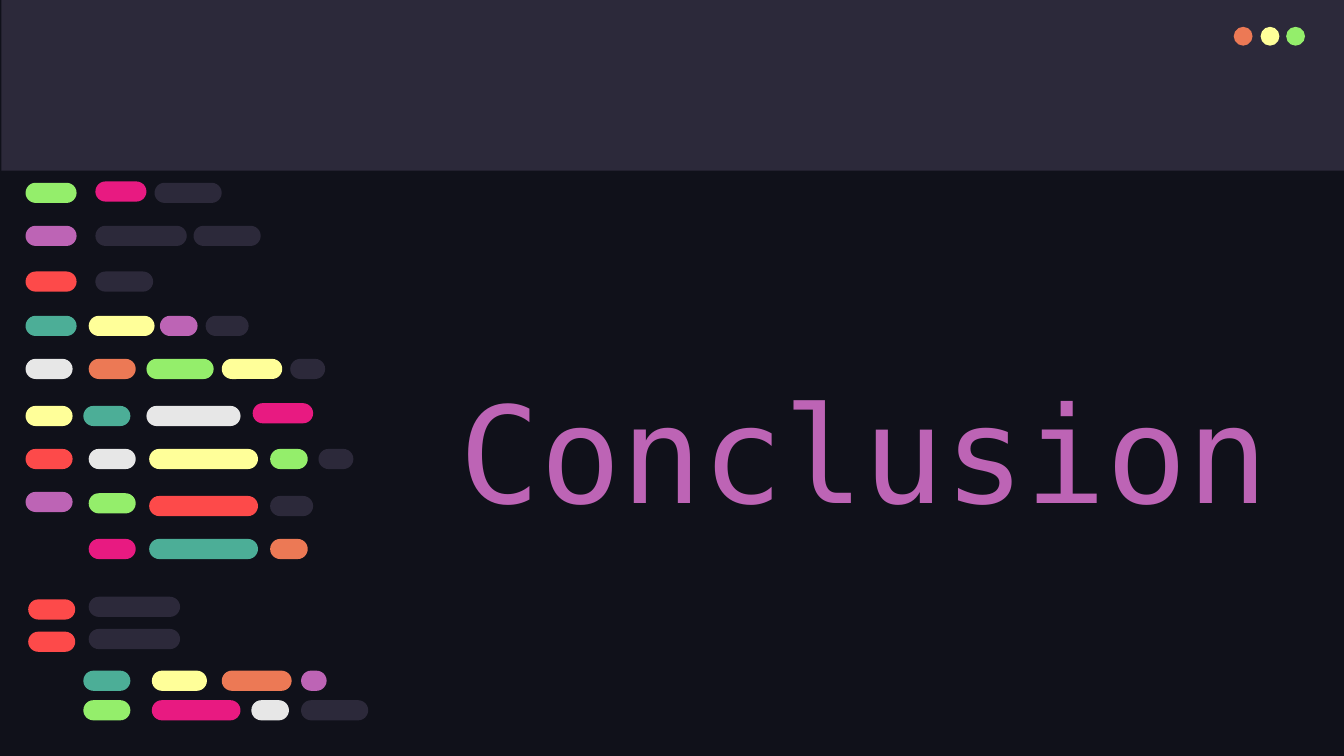
import pptx
import pptx.dml.color
import pptx.enum.shapes
import pptx.enum.text
import pptx.util
from dataclasses import dataclass

Inches = pptx.util.Inches
Shape = pptx.enum.shapes.MSO_SHAPE


@dataclass(frozen=True)
class Theme:
    night: str = "10111A"
    slate: str = "2C293A"
    green: str = "94EE6B"
    pink: str = "E81A81"
    purple: str = "BD64B5"
    red: str = "FD4A4A"
    teal: str = "4CAE97"
    yellow: str = "FFFF99"
    orange: str = "EC7955"
    white: str = "E7E7E7"
    font: str = "DejaVu Sans Mono"
    title_size: int = 72


class SlideBuilder:
    def __init__(self, slide, theme):
        self.slide = slide
        self.theme = theme

    def colour(self, name):
        return pptx.dml.color.RGBColor.from_string(getattr(self.theme, name))

    def background(self, name):
        fill = self.slide.background.fill
        fill.solid()
        fill.fore_color.rgb = self.colour(name)

    def group(self):
        return self.slide.shapes.add_group_shape().shapes

    def shape(self, kind, left, top, width, height, name, parent=None):
        shapes = self.slide.shapes if parent is None else parent
        shape = shapes.add_shape(kind, Inches(left), Inches(top), Inches(width), Inches(height))
        shape.shadow.inherit = False
        shape.fill.solid()
        shape.fill.fore_color.rgb = self.colour(name)
        shape.line.fill.background()
        return shape

    def pill(self, left, top, width, name, parent):
        pill = self.shape(Shape.ROUNDED_RECTANGLE, left, top, width, 0.15, name, parent)
        pill.adjustments[0] = 0.5

    def title(self, text, left, top, width, height, name):
        box = self.slide.shapes.add_textbox(Inches(left), Inches(top), Inches(width), Inches(height))
        frame = box.text_frame
        frame.word_wrap = True
        frame.vertical_anchor = pptx.enum.text.MSO_ANCHOR.TOP
        frame.margin_left = frame.margin_right = Inches(0.1)
        frame.margin_top = frame.margin_bottom = Inches(0.1)
        paragraph = frame.paragraphs[0]
        paragraph.text = text
        paragraph.line_spacing = 1.15
        properties = paragraph._p.get_or_add_pPr()
        properties.set("marL", str(Inches(0.15)))
        properties.set("indent", "0")
        paragraph.font.name = self.theme.font
        paragraph.font.size = pptx.util.Pt(self.theme.title_size)
        paragraph.font.color.rgb = self.colour(name)


# Code lines: top, then (left, width, colour) of each token
CODE_LINES = [
    (1.35, [(0.71, 0.38, "pink")]),
    (1.36, [(0.19, 0.38, "green"), (1.15, 0.5, "slate")]),
    (1.68, [(0.19, 0.38, "purple"), (0.71, 0.68, "slate"), (1.44, 0.5, "slate")]),
    (2.02, [(0.19, 0.38, "red"), (0.71, 0.43, "slate")]),
    (2.35, [(0.19, 0.38, "teal"), (0.66, 0.49, "yellow"), (1.19, 0.28, "purple"),
            (1.53, 0.32, "slate")]),
    (2.67, [(0.19, 0.35, "white"), (0.66, 0.35, "orange"), (1.09, 0.5, "green"),
            (1.65, 0.45, "yellow"), (2.16, 0.26, "slate")]),
    (3.0, [(1.88, 0.45, "pink")]),
    (3.02, [(0.19, 0.35, "yellow"), (0.62, 0.35, "teal"), (1.09, 0.7, "white")]),
    (3.34, [(0.19, 0.35, "red"), (0.66, 0.35, "white"), (1.11, 0.81, "yellow"),
            (2.01, 0.28, "green"), (2.37, 0.26, "slate")]),
    (3.66, [(0.19, 0.35, "purple")]),
    (3.67, [(0.66, 0.35, "green")]),
    (3.69, [(1.11, 0.81, "red"), (2.01, 0.32, "slate")]),
    (4.01, [(0.66, 0.35, "pink"), (1.11, 0.81, "teal"), (2.01, 0.28, "orange")]),
    (4.44, [(0.66, 0.68, "slate")]),
    (4.46, [(0.21, 0.35, "red")]),
    (4.68, [(0.66, 0.68, "slate")]),
    (4.7, [(0.21, 0.35, "red")]),
    (4.99, [(0.62, 0.35, "teal"), (1.13, 0.41, "yellow"), (1.65, 0.52, "orange"),
            (2.24, 0.19, "purple")]),
    (5.21, [(0.62, 0.35, "green"), (1.13, 0.66, "pink"), (1.87, 0.28, "white"),
            (2.24, 0.5, "slate")]),
]


def main():
    # Widescreen slide, 16:9
    deck = pptx.Presentation()
    deck.slide_width, deck.slide_height = Inches(10), Inches(10 * 9 / 16)
    builder = SlideBuilder(deck.slides.add_slide(deck.slide_layouts[6]), Theme())
    builder.background("night")

    # Window bar with its three buttons
    builder.shape(Shape.RECTANGLE, 0.01, 0, 10, 1.27, "slate")
    buttons = builder.group()
    for left, name in [(9.18, "orange"), (9.38, "yellow"), (9.57, "green")]:
        builder.shape(Shape.OVAL, left, 0.2, 0.14, 0.14, name, buttons)

    # Title
    builder.title("Conclusion", 3.17, 2.47, 8.43, 3.08, "purple")

    # Stylised code listing
    listing = builder.group()
    for top, tokens in CODE_LINES:
        for left, width, name in tokens:
            builder.pill(left, top, width, name, listing)

    deck.save("out.pptx")


if __name__ == "__main__":
    main()
